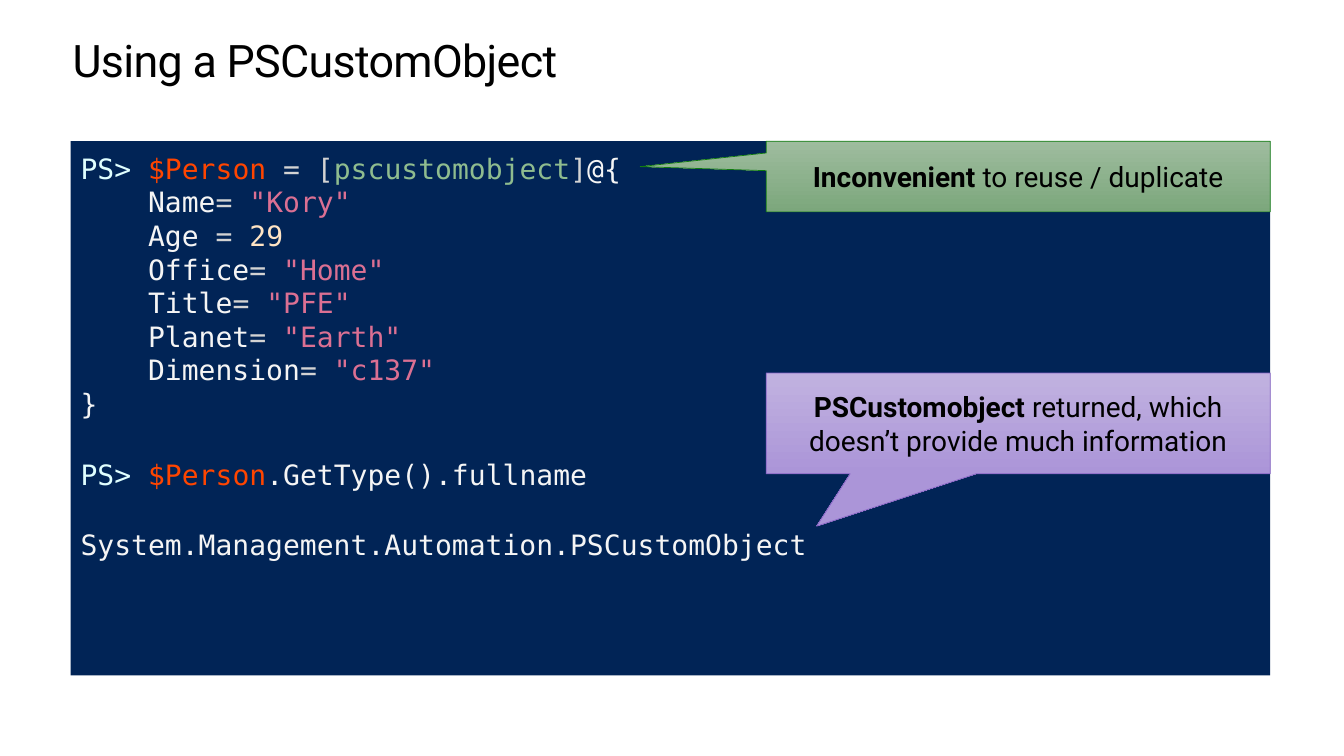
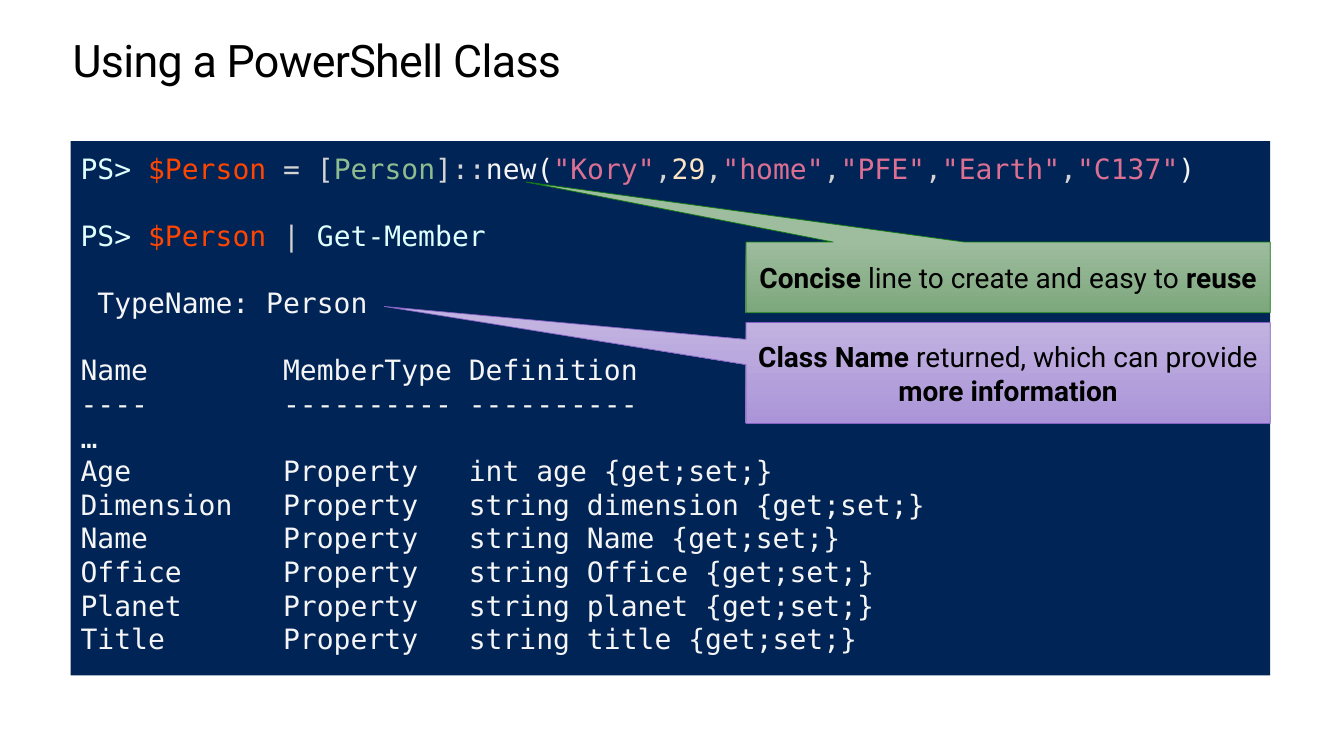
from pptx import Presentation
from pptx.dml.color import RGBColor
from pptx.enum.shapes import MSO_SHAPE
from pptx.enum.text import MSO_ANCHOR, MSO_AUTO_SIZE, PP_ALIGN
from pptx.util import Cm, Pt

RECT, CALLOUT = MSO_SHAPE.RECTANGLE, MSO_SHAPE.RECTANGULAR_CALLOUT
TOP, MIDDLE = MSO_ANCHOR.TOP, MSO_ANCHOR.MIDDLE
LEFT, CENTER = PP_ALIGN.LEFT, PP_ALIGN.CENTER
NO_FIT = MSO_AUTO_SIZE.NONE

# Code panel: left, top, width, height in cm
PANEL = (1.78, 3.56, 30.23, 13.46)
PANEL_RIGHT = PANEL[0] + PANEL[2]

# Token colours of the code
PROMPT, VAR, OP, TYPE = "E0FFFF", "FF4500", "D3D3D3", "8FBC8F"
TEXT, STRING, NUMBER = "F5F5F5", "DB7093", "FFE4C4"

# Callout styles: gradient start, gradient end, outline
GREEN = ("9EBC9E", "7CA77C", "107C10")
PURPLE = ("C1B2E0", "AB95D8", "8661C5")


def rgb(value):
    return RGBColor.from_string(value)


class Deck:
    """Holds the shared style and the current slide."""

    font, code_font = "Roboto", "DejaVu Sans Mono"
    size, title_size = Pt(20), Pt(32)
    black, panel_fill = "000000", "012456"
    line_height = 24

    def __init__(self):
        self.prs = Presentation()
        self.prs.slide_width, self.prs.slide_height = Cm(33.87), Cm(19.05)
        self.s = None

    def frame(self, sp, anchor, inset):
        tf = sp.text_frame
        tf.word_wrap = True
        tf.auto_size = NO_FIT
        tf.vertical_anchor = anchor
        tf.margin_left = tf.margin_right = Cm(inset)
        tf.margin_top = tf.margin_bottom = Cm(inset)
        return tf

    def run(self, p, text, color, font, size, bold=False):
        r = p.add_run()
        r.text = text
        r.font.name, r.font.size, r.font.bold = font, size, bold
        r.font.color.rgb = rgb(color)
        return r

    def shape(self, kind, left, top, width, height):
        sp = self.s.shapes.add_shape(
            kind, Cm(left), Cm(top), Cm(width), Cm(height))
        sp.shadow.inherit = False
        return sp

    def slide(self, title):
        self.s = self.prs.slides.add_slide(self.prs.slide_layouts[5])
        sp = self.s.shapes.title
        sp.left, sp.top = Cm(1.83), Cm(0.89)
        sp.width, sp.height = Cm(30.23), Cm(1.27)
        p = self.frame(sp, TOP, 0).paragraphs[0]
        p.alignment, p.line_spacing = LEFT, Pt(36.2)
        r = self.run(p, title, self.black, self.font, self.title_size)
        r.font._element.set("spc", "-50")

    def code(self, rows, gap):
        """Each row is a list of (colour, text); None leaves a gap in points."""
        sp = self.shape(RECT, *PANEL)
        sp.fill.solid()
        sp.fill.fore_color.rgb = rgb(self.panel_fill)
        sp.line.fill.background()
        tf = self.frame(sp, TOP, 0.25)
        p, space = tf.paragraphs[0], 0
        for i, row in enumerate(rows):
            if row is None:
                space = gap
                continue
            if i:
                p = tf.add_paragraph()
            p.alignment, p.line_spacing = LEFT, Pt(self.line_height)
            p.space_before, space = Pt(space), 0
            for color, text in row:
                self.run(p, text, color, self.code_font, self.size)

    def callout(self, top, width, height, tip, style, runs):
        """Right-aligned with the panel; tip is the pointer's offset."""
        start, end, outline = style
        sp = self.shape(CALLOUT, PANEL_RIGHT - width, top, width, height)
        sp.adjustments[0], sp.adjustments[1] = tip
        sp.fill.gradient()
        sp.fill.gradient_angle = 270
        for stop, color in zip(sp.fill.gradient_stops, (start, end)):
            stop.color.rgb = rgb(color)
        sp.line.color.rgb = rgb(outline)
        sp.line.width = Pt(0.5)
        p = self.frame(sp, MIDDLE, 0.25).paragraphs[0]
        p.alignment = CENTER
        for text, bold in runs:
            self.run(p, text, self.black, self.font, self.size, bold)


def field(name, color, value):
    return [(TEXT, "    " + name), (OP, "= "), (color, value)]


def member(name, kind, definition):
    return [(TEXT, f"{name:<12}{kind:<11}{definition}")]


def prop(name, definition):
    return member(name, "Property", definition + " {get;set;}")


def arguments(*values):
    """Colours the values and puts commas between them."""
    tokens = []
    for value in values:
        tokens += [(OP, ","), (STRING if value[0] == '"' else NUMBER, value)]
    return tokens[1:]


def custom_object(deck):
    deck.slide("Using a PSCustomObject")
    deck.code([
        [(PROMPT, "PS> "), (VAR, "$Person "), (OP, "= ["),
         (TYPE, "pscustomobject"), (OP, "]"), (TEXT, "@{")],
        field("Name", STRING, '"Kory"'),
        field("Age ", NUMBER, "29"),
        field("Office", STRING, '"Home"'),
        field("Title", STRING, '"PFE"'),
        field("Planet", STRING, '"Earth"'),
        field("Dimension", STRING, '"c137"'),
        [(TEXT, "}")],
        None,
        [(PROMPT, "PS> "), (VAR, "$Person"), (TEXT, ".GetType().fullname")],
        None,
        [(TEXT, "System.Management.Automation.PSCustomObject")],
    ], gap=26.5)
    deck.callout(9.4, 12.7, 2.54, (-0.4, 1.02), PURPLE, [
        ("PSCustomobject", True),
        (" returned, which doesn’t provide much information", False)])
    deck.callout(3.56, 12.7, 1.78, (-0.75, -0.14), GREEN, [
        ("Inconvenient", True), (" to reuse / duplicate", False)])


def powershell_class(deck):
    deck.slide("Using a PowerShell Class")
    deck.code([
        [(PROMPT, "PS> "), (VAR, "$Person "), (OP, "= ["), (TYPE, "Person"),
         (OP, "]::"), (TEXT, "new("),
         *arguments('"Kory"', "29", '"home"', '"PFE"', '"Earth"', '"C137"'),
         (TEXT, ")")],
        None,
        [(PROMPT, "PS> "), (VAR, "$Person "), (OP, "| "),
         (PROMPT, "Get-Member")],
        None,
        [(TEXT, " TypeName: Person")],
        None,
        member("Name", "MemberType", "Definition"),
        member("----", "----------", "----------"),
        [(TEXT, "…")],
        prop("Age", "int age"),
        prop("Dimension", "string dimension"),
        prop("Name", "string Name"),
        prop("Office", "string Office"),
        prop("Planet", "string planet"),
        prop("Title", "string title"),
    ], gap=24)
    deck.callout(8.13, 13.21, 2.54, (-1.19, -0.66), PURPLE, [
        ("Class Name ", True), ("returned, which can provide ", False),
        ("more information", True)])
    deck.callout(6.1, 13.21, 1.78, (-0.92, -1.35), GREEN, [
        ("Concise ", True), ("line to create and easy to ", False),
        ("reuse", True)])


def main():
    deck = Deck()
    custom_object(deck)
    powershell_class(deck)
    deck.prs.save("out.pptx")


if __name__ == "__main__":
    main()
